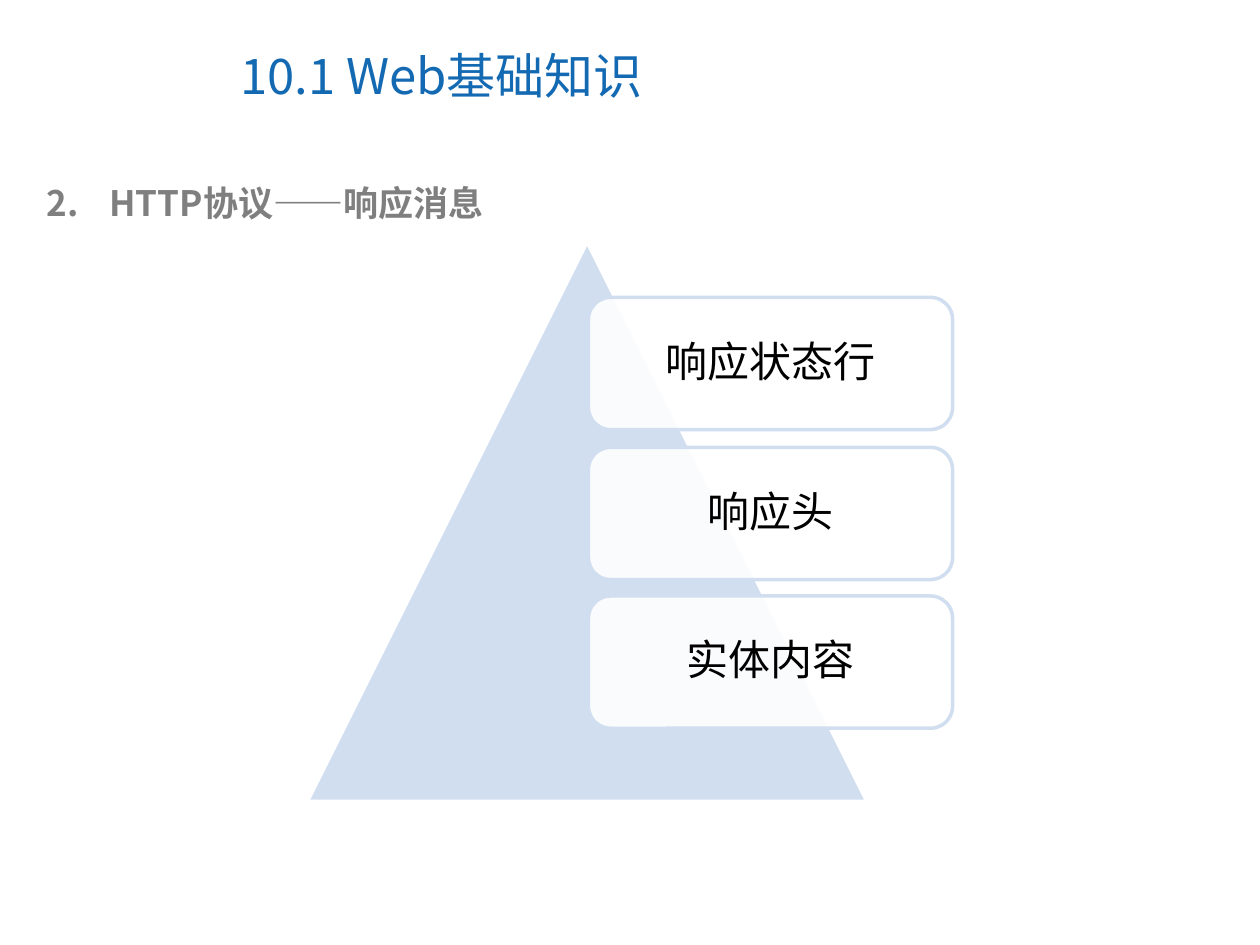
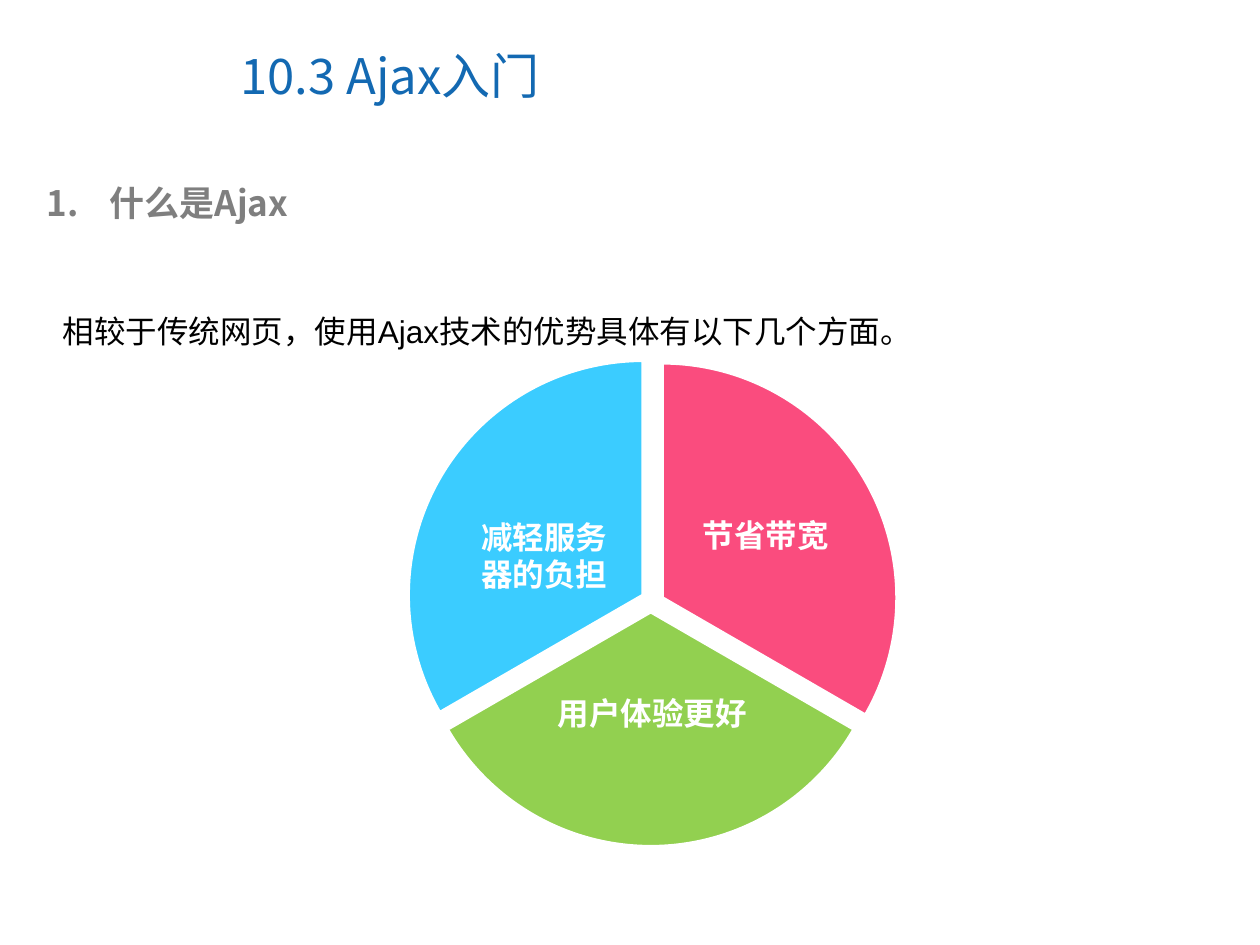
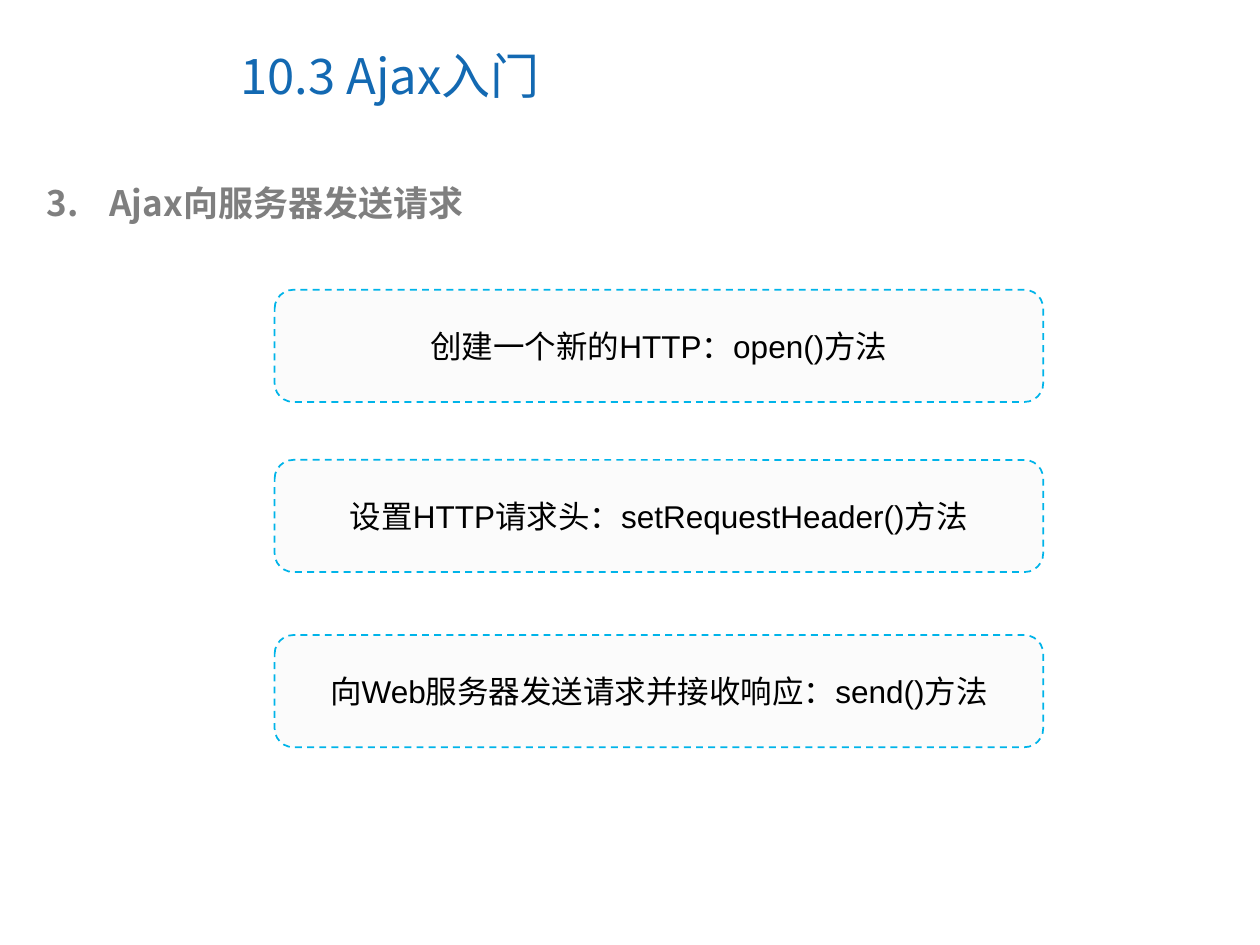
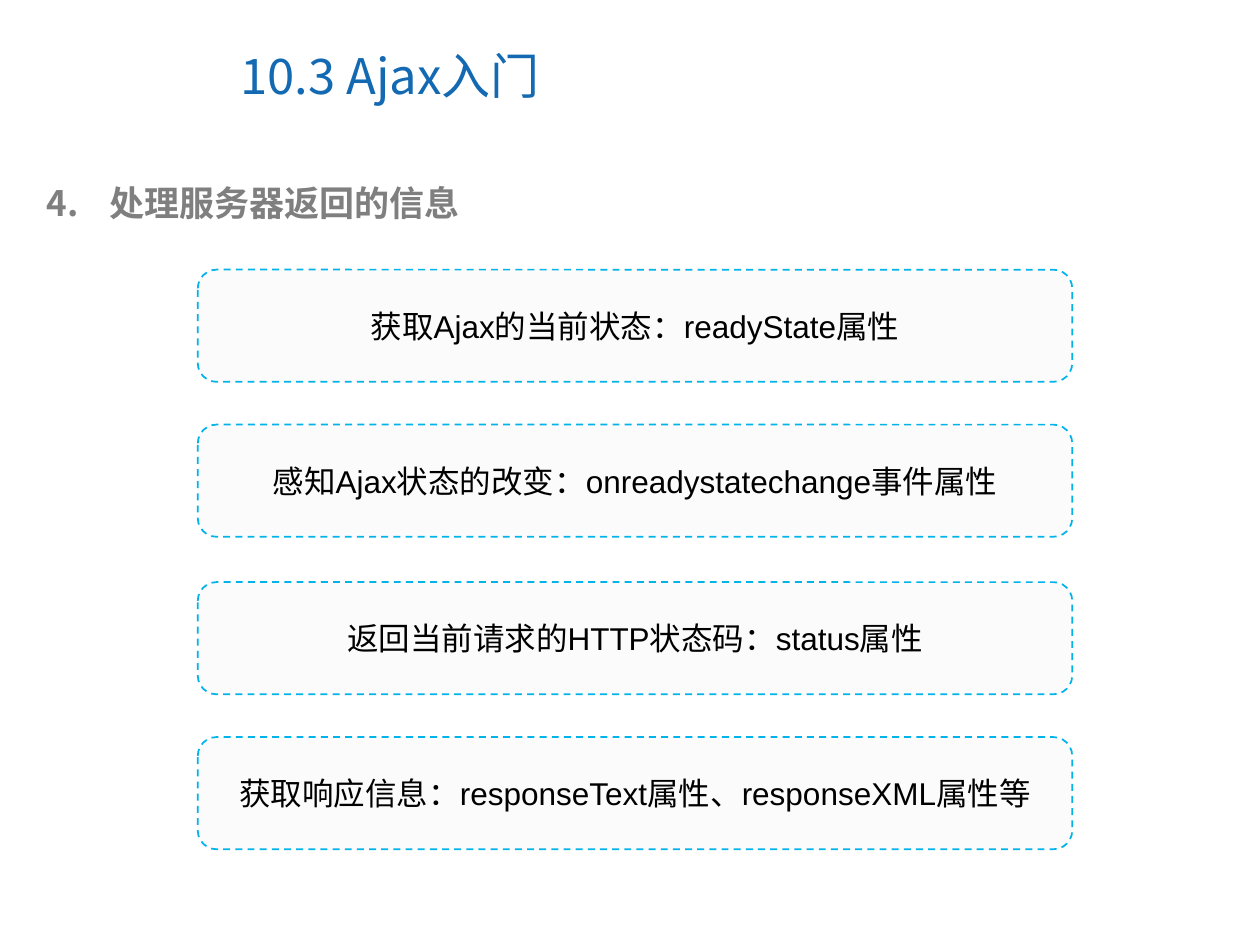
from dataclasses import dataclass
from typing import Any

import lxml.etree
import pptx
import pptx.dml.color
import pptx.enum.dml
import pptx.enum.shapes
import pptx.enum.text
import pptx.oxml.ns
import pptx.util

PX_PER_INCH = 100
EMU_PER_PX = 914400 // PX_PER_INCH

SHAPE = pptx.enum.shapes.MSO_SHAPE
ALIGN = pptx.enum.text.PP_ALIGN
ANCHOR = pptx.enum.text.MSO_ANCHOR
qn = pptx.oxml.ns.qn


# Theme: colours, fonts, type sizes
@dataclass(frozen=True)
class Theme:
    title_blue: str = "1369B2"
    heading_gray: str = "7F7F7F"
    black: str = "000000"
    white: str = "FFFFFF"
    pale_blue: str = "D0DEF0"
    step_fill: str = "FBFBFB"
    step_line: str = "00B4E9"
    sky: str = "3BCCFF"
    pink: str = "FA4C7E"
    green: str = "92D050"
    font: str = "Arial"
    cjk_font: str = "Noto Sans CJK SC"
    title_size: int = 28
    panel_size: int = 24
    heading_size: int = 20
    body_size: int = 18
    corner: float = 0.167


THEME = Theme()


# Repeated elements
@dataclass(frozen=True)
class Area:
    left: int
    top: int
    width: int
    height: int

    def emu(self) -> list[int]:
        return [px(n) for n in (self.left, self.top, self.width, self.height)]


@dataclass(frozen=True)
class Stack:
    left: int
    width: int
    height: int
    items: tuple[tuple[int, str], ...]  # top and wording of each box


@dataclass(frozen=True)
class Sector:
    left: int
    top: int
    start: int  # degrees clockwise from three o'clock
    color: str
    label: str
    label_area: Area


TITLE_AREA = Area(181, 17, 516, 85)
HEADING_AREA = Area(27, 139, 922, 44)
INTRO_AREA = Area(40, 213, 919, 70)
TRIANGLE_AREA = Area(244, 192, 444, 444)
PIE_DIAMETER = 373
SECTOR_DEGREES = 120
ANGLE_UNIT = 0.6  # adjustment value of one degree

RESPONSE_PARTS = Stack(467, 289, 105, (
    (236, "响应状态行"),
    (355, "响应头"),
    (473, "实体内容"),
))
REQUEST_STEPS = Stack(218, 610, 89, (
    (230, "创建一个新的HTTP：open()方法"),
    (365, "设置HTTP请求头：setRequestHeader()方法"),
    (504, "向Web服务器发送请求并接收响应：send()方法"),
))
RESPONSE_STEPS = Stack(157, 694, 89, (
    (214, "获取Ajax的当前状态：readyState属性"),
    (337, "感知Ajax状态的改变：onreadystatechange事件属性"),
    (462, "返回当前请求的HTTP状态码：status属性"),
    (585, "获取响应信息：responseText属性、responseXML属性等"),
))
ADVANTAGES = (
    Sector(324, 286, 150, THEME.sky, "减轻服务\n器的负担", Area(372, 406, 120, 70)),
    Sector(339, 288, 270, THEME.pink, "节省带宽", Area(548, 405, 120, 40)),
    Sector(330, 299, 30, THEME.green, "用户体验更好", Area(433, 546, 170, 40)),
)


# Drawing functions
def px(length: int) -> int:
    return length * EMU_PER_PX


def rgb(color: str) -> pptx.dml.color.RGBColor:
    return pptx.dml.color.RGBColor.from_string(color)


def write(box: Any, text: str, *, size: int, color: str = THEME.black,
          font: str = THEME.font, bold: bool = False, align: Any = ALIGN.LEFT,
          anchor: Any = ANCHOR.TOP, inset: tuple[int, int] = (10, 5),
          spacing: float = 1.0, space_after: float = 0, wrap: bool = True,
          grow: bool = False, number: int = 0) -> None:
    frame = box.text_frame
    frame.word_wrap = wrap
    frame.vertical_anchor = anchor
    frame.margin_left = frame.margin_right = px(inset[0])
    frame.margin_top = frame.margin_bottom = px(inset[1])
    if grow:
        frame.auto_size = pptx.enum.text.MSO_AUTO_SIZE.SHAPE_TO_FIT_TEXT
    for index, line in enumerate(text.split("\n")):
        para = frame.add_paragraph() if index else frame.paragraphs[0]
        para.alignment = align
        para.line_spacing = spacing
        para.space_after = pptx.util.Pt(space_after)
        if number:
            add_number(para, number, color)
        span = para.add_run()
        span.text = line
        span.font.size = pptx.util.Pt(size)
        span.font.bold = bold
        span.font.color.rgb = rgb(color)
        span.font.name = font
        lxml.etree.SubElement(span.font._element, qn("a:ea"), typeface=THEME.cjk_font)


def add_number(para: Any, number: int, color: str) -> None:
    properties = para._p.get_or_add_pPr()
    properties.set("marL", str(px(50)))
    properties.set("indent", str(px(-50)))
    tint = lxml.etree.SubElement(properties, qn("a:buClr"))
    lxml.etree.SubElement(tint, qn("a:srgbClr"), val=color)
    lxml.etree.SubElement(properties, qn("a:buFont"), typeface=THEME.cjk_font)
    lxml.etree.SubElement(properties, qn("a:buAutoNum"),
                          type="arabicPeriod", startAt=str(number))


def add_text(shapes: Any, area: Area, text: str, **style: Any) -> None:
    write(shapes.add_textbox(*area.emu()), text, **style)


def add_box(shapes: Any, kind: Any, area: Area, fill: str, line: str,
            line_width: int = 2) -> Any:
    box = shapes.add_shape(kind, *area.emu())
    box.shadow.inherit = False
    box.fill.solid()
    box.fill.fore_color.rgb = rgb(fill)
    box.line.color.rgb = rgb(line)
    box.line.width = pptx.util.Pt(line_width)
    return box


def set_opacity(box: Any, percent: int) -> None:
    tint = box._element.spPr.find(qn("a:solidFill")).find(qn("a:srgbClr"))
    lxml.etree.SubElement(tint, qn("a:alpha"), val=str(percent * 1000))


def add_page(deck: Any, title: str, number: int, heading: str) -> Any:
    page = deck.slides.add_slide(deck.slide_layouts[6])
    add_text(page.shapes, TITLE_AREA, title, size=THEME.title_size,
             color=THEME.title_blue, font=THEME.cjk_font, anchor=ANCHOR.MIDDLE)
    add_text(page.shapes, HEADING_AREA, heading, size=THEME.heading_size,
             color=THEME.heading_gray, font=THEME.cjk_font, bold=True,
             grow=True, number=number)
    return page


def add_panels(page: Any, stack: Stack) -> None:
    for top, text in stack.items:
        area = Area(stack.left, top, stack.width, stack.height)
        panel = add_box(page.shapes, SHAPE.ROUNDED_RECTANGLE, area,
                        THEME.white, THEME.pale_blue)
        panel.adjustments[0] = THEME.corner
        set_opacity(panel, 90)
        write(panel, text, size=THEME.panel_size, align=ALIGN.CENTER,
              anchor=ANCHOR.MIDDLE, inset=(21, 21), spacing=0.9, space_after=10.5)


def add_steps(page: Any, stack: Stack) -> None:
    for top, text in stack.items:
        area = Area(stack.left, top, stack.width, stack.height)
        step = add_box(page.shapes, SHAPE.ROUNDED_RECTANGLE, area,
                       THEME.step_fill, THEME.step_line, line_width=1)
        step.adjustments[0] = THEME.corner
        step.line.dash_style = pptx.enum.dml.MSO_LINE.DASH
        write(step, text, size=THEME.body_size, align=ALIGN.CENTER,
              anchor=ANCHOR.MIDDLE)


def add_sector(page: Any, sector: Sector) -> None:
    group = page.shapes.add_group_shape()
    area = Area(sector.left, sector.top, PIE_DIAMETER, PIE_DIAMETER)
    slice_shape = add_box(group.shapes, SHAPE.PIE, area, sector.color, THEME.white)
    end = (sector.start + SECTOR_DEGREES) % 360
    slice_shape.adjustments[0] = sector.start * ANGLE_UNIT
    slice_shape.adjustments[1] = end * ANGLE_UNIT
    add_text(group.shapes, sector.label_area, sector.label, size=THEME.body_size,
             color=THEME.white, bold=True, wrap=False, grow=True)


# Slides
def main() -> None:
    deck = pptx.Presentation()
    deck.slide_width = px(1000)
    deck.slide_height = px(750)
    ajax_title = "10.3 Ajax入门"

    # Parts of a response message
    page = add_page(deck, "10.1 Web基础知识", 2, "HTTP协议——响应消息")
    add_box(page.shapes, SHAPE.ISOSCELES_TRIANGLE, TRIANGLE_AREA,
            THEME.pale_blue, THEME.white)
    add_panels(page, RESPONSE_PARTS)

    # Advantages of Ajax
    page = add_page(deck, ajax_title, 1, "什么是Ajax")
    add_text(page.shapes, INTRO_AREA,
             "相较于传统网页，使用Ajax技术的优势具体有以下几个方面。",
             size=THEME.body_size, spacing=2.0, grow=True)
    for sector in ADVANTAGES:
        add_sector(page, sector)

    # Sending a request
    page = add_page(deck, ajax_title, 3, "Ajax向服务器发送请求")
    add_steps(page, REQUEST_STEPS)

    # Handling the response
    page = add_page(deck, ajax_title, 4, "处理服务器返回的信息")
    add_steps(page, RESPONSE_STEPS)

    deck.save("out.pptx")


if __name__ == "__main__":
    main()
